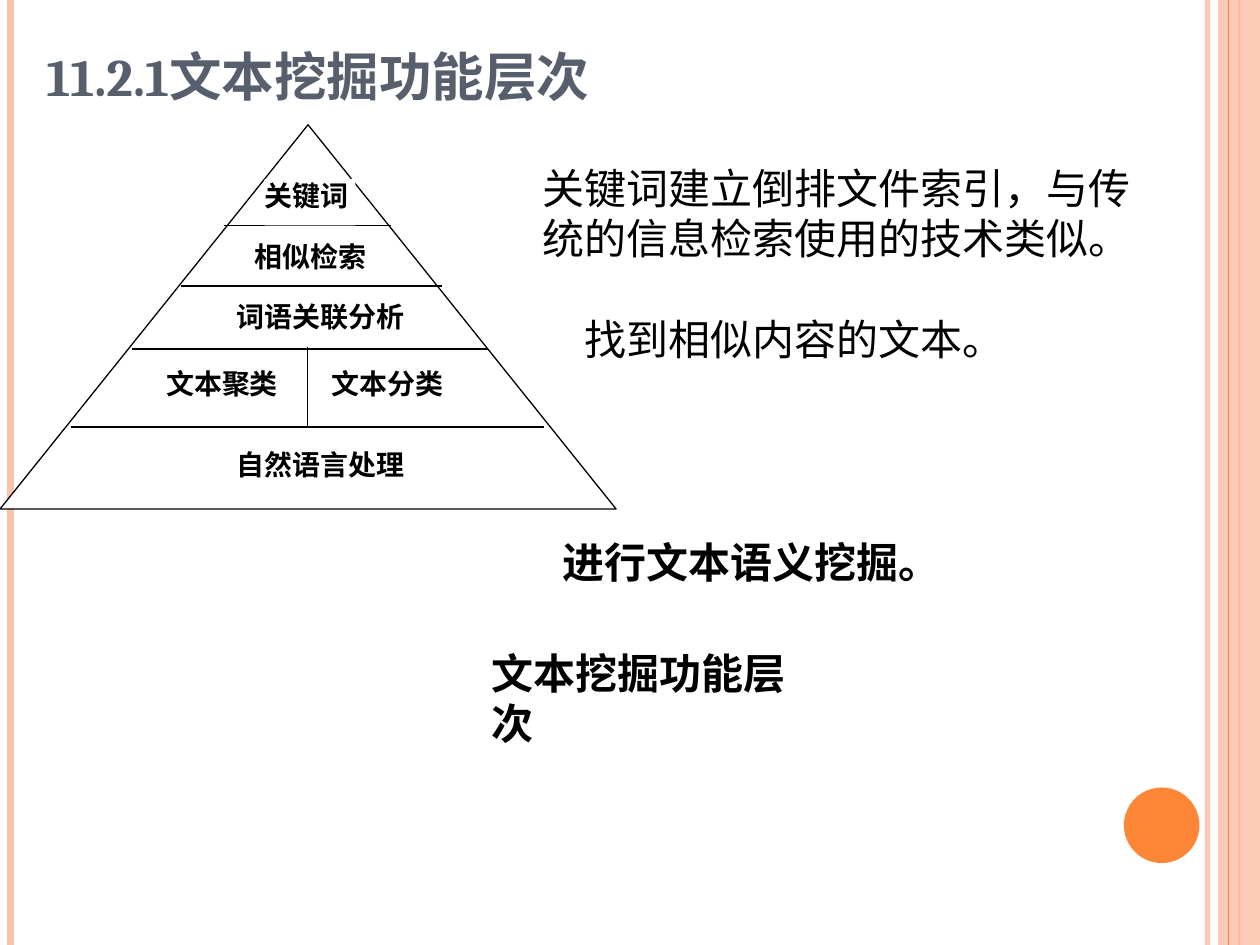
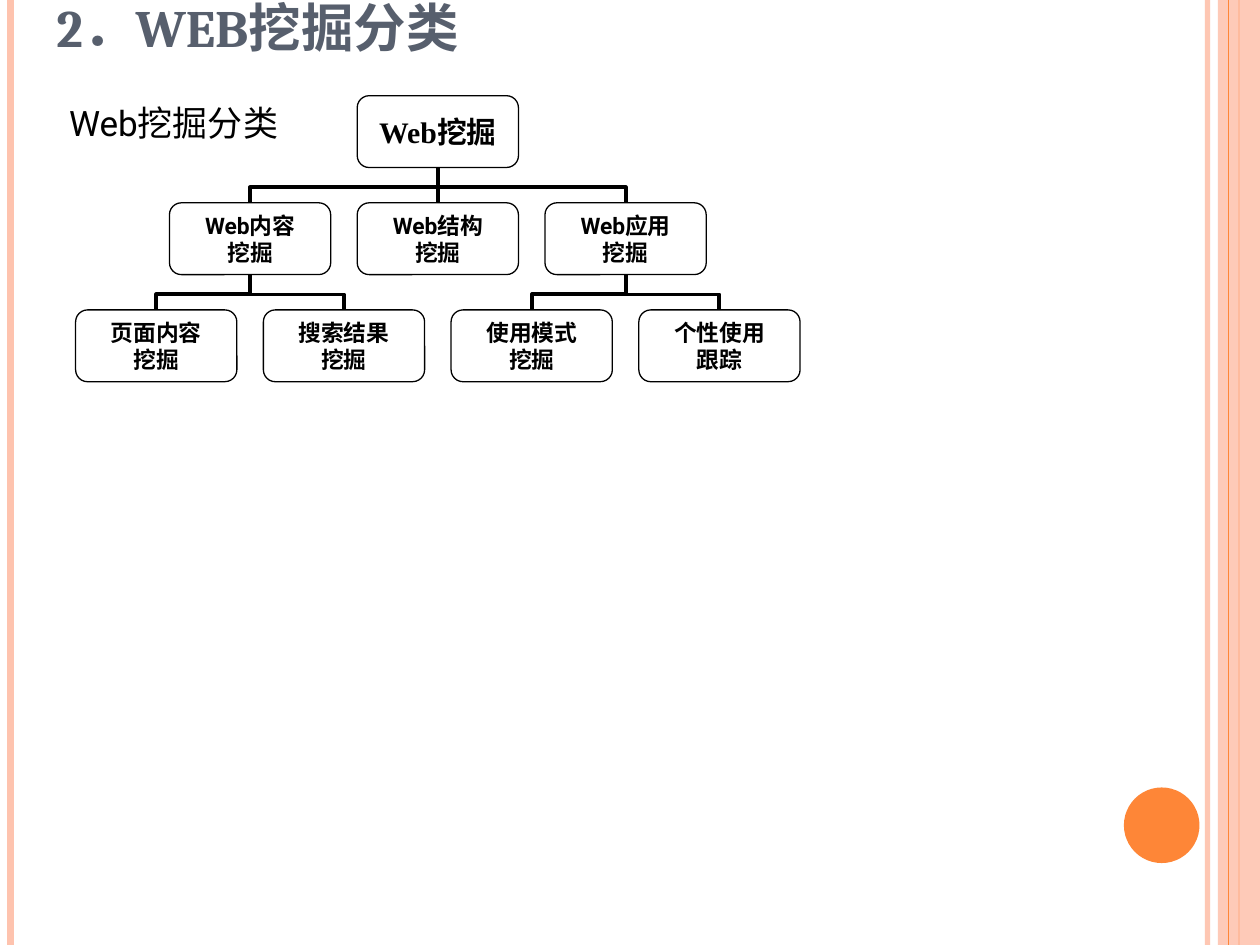
from lxml import etree
from pptx import Presentation
from pptx.dml.color import RGBColor
from pptx.enum.shapes import MSO_CONNECTOR, MSO_SHAPE
from pptx.enum.text import MSO_ANCHOR, MSO_AUTO_SIZE, PP_ALIGN
from pptx.oxml.ns import qn
from pptx.util import Pt

STRAIGHT, ELBOW = MSO_CONNECTOR.STRAIGHT, MSO_CONNECTOR.ELBOW
RECTANGLE, ROUNDED = MSO_SHAPE.RECTANGLE, MSO_SHAPE.ROUNDED_RECTANGLE
OVAL, TRIANGLE = MSO_SHAPE.OVAL, MSO_SHAPE.FLOWCHART_EXTRACT
TOP, MIDDLE, BOTTOM = MSO_ANCHOR.TOP, MSO_ANCHOR.MIDDLE, MSO_ANCHOR.BOTTOM
LEFT, CENTER = PP_ALIGN.LEFT, PP_ALIGN.CENTER

WIDTH, HEIGHT = 720, 540
COLORS = {"paper": "FFFFFF", "ink": "000000", "title": "575F6D",
          "peach": "FEC3AE", "orange": "FE8637"}
HEADING, BODY, SERIF = "Cambria", "Roboto", "Times New Roman"

# Slide 1: pyramid levels and remarks
LEVELS_TITLE = ("11.2.1文本挖掘功能层次", 19.44, -25.2)
PYRAMID = (0, 71.28, 352.08, 219.6)
DIVIDERS = [  # x1, y1, x2, y2
    (128.16, 128.88, 223.2, 128.88),
    (103.68, 163.44, 252.72, 163.44),
    (40.32, 244.08, 311.04, 244.08),
    (75.6, 199.44, 278.64, 199.44),
    (175.68, 198, 175.68, 244.08),
]
LEVEL_LABELS = [  # text, box
    ("关键词", (151.2, 102.24, 51.84, 26.64)),
    ("相似检索", (145.44, 136.8, 81.36, 19.44)),
    ("词语关联分析", (135.36, 171.36, 102.96, 26.64)),
    ("自然语言处理", (135.36, 255.6, 114.48, 26.64)),
    ("文本聚类", (95.04, 209.52, 67.68, 26.64)),
    ("文本分类", (189.36, 209.52, 67.68, 26.64)),
]
REMARKS = [  # text, box, bold, wrap
    ("文本挖掘功能层次", (273.6, 366.48, 205.92, 36), True, False),
    ("关键词建立倒排文件索引，与传统的信息检索使用的技术类似。",
     (303.12, 89.28, 360, 64.8), False, True),
    ("找到相似内容的文本。", (326.88, 175.68, 254.16, 36), False, False),
    ("进行文本语义挖掘。", (314.64, 303.12, 360, 36), True, True),
]

# Slide 2: tree, where a slot counts leaf columns from the left
TREE_TITLE = ("2．WEB挖掘分类", 25.2, -53.28)
TREE_CAPTION = ("Web挖掘分类", (32.4, 54.72, 141.12, 31.68))
TREE = {  # name: (level, slot, parent, paragraphs of (text, font) runs)
    "root": (0, 1.5, None, [[("Web挖掘", SERIF)]]),
    "content": (1, 0.5, "root", [[("Web", BODY), ("内容", SERIF)], [("挖掘", SERIF)]]),
    "structure": (1, 1.5, "root", [[("Web", BODY), ("结构", SERIF)], [("挖掘", SERIF)]]),
    "usage": (1, 2.5, "root", [[("Web", BODY), ("应用", SERIF)], [("挖掘", SERIF)]]),
    "pages": (2, 0, "content", [[("页面内容", SERIF)], [("挖掘", SERIF)]]),
    "results": (2, 1, "content", [[("搜索结果", SERIF)], [("挖掘", SERIF)]]),
    "patterns": (2, 2, "usage", [[("使用模式", SERIF)], [("挖掘", SERIF)]]),
    "tracking": (2, 3, "usage", [[("个性使用", SERIF)], [("跟踪", SERIF)]]),
}
NODE_WIDTH, NODE_HEIGHT = 92.16, 41.04
FIRST_CENTER, COLUMN_STEP = 89.28, 107.28
FIRST_TOP, LEVEL_STEP = 54.72, 61.2
ELBOW_BEND = 56000  # share of the drop above the bend, in 1/100000


def points(values):
    return [Pt(value) for value in values]


def color(name):
    return RGBColor.from_string(COLORS[name])


def set_opacity(element, percent):
    fill_color = next(element.iter(qn("a:srgbClr")))
    etree.SubElement(fill_color, qn("a:alpha"), val=str(percent * 1000))


def add_line(slide, ends, name="ink", weight=0.75, kind=STRAIGHT):
    line = slide.shapes.add_connector(kind, *points(ends))
    line.line.color.rgb = color(name)
    line.line.width = Pt(weight)
    etree.SubElement(line._element.spPr, qn("a:effectLst"))
    return line


def add_figure(slide, kind, box, fill=None, outlined=False):
    shape = slide.shapes.add_shape(kind, *points(box))
    shape.shadow.inherit = False
    if fill:
        shape.fill.solid()
        shape.fill.fore_color.rgb = color(fill)
    else:
        shape.fill.background()
    if outlined:
        shape.line.color.rgb = color("ink")
        shape.line.width = Pt(0.75)
    else:
        shape.line.fill.background()
    return shape


def write(shape, paragraphs, size, bold=False, name="ink", align=LEFT,
          anchor=TOP, insets=(7.2, 3.6), wrap=True):
    frame = shape.text_frame
    frame.word_wrap = wrap
    frame.vertical_anchor = anchor
    frame.margin_left = frame.margin_right = Pt(insets[0])
    frame.margin_top = frame.margin_bottom = Pt(insets[1])
    for index, runs in enumerate(paragraphs):
        paragraph = frame.add_paragraph() if index else frame.paragraphs[0]
        paragraph.alignment = align
        for text, font in runs:
            run = paragraph.add_run()
            run.text = text
            run.font.name = font
            run.font.size = Pt(size)
            run.font.bold = bold
            run.font.color.rgb = color(name)


def add_text(slide, text, box, size, font=BODY, **style):
    shape = slide.shapes.add_textbox(*points(box))
    write(shape, [[(text, font)]], size, **style)
    return shape


def add_note(slide, text, box, size, **style):
    shape = add_text(slide, text, box, size, **style)
    shape.text_frame.auto_size = MSO_AUTO_SIZE.SHAPE_TO_FIT_TEXT


def start_slide(presentation, title, left, top):
    """Add a slide with the side bands, the orange dot and a title."""
    slide = presentation.slides.add_slide(presentation.slide_layouts[6])

    def add_rule(x, name, weight):
        return add_line(slide, (x, 0, x, HEIGHT), name, weight)

    set_opacity(add_rule(690, "peach", 3)._element, 93)
    add_rule(6, "peach", 4.5)
    add_rule(708, "orange", 1.5)
    band = add_figure(slide, RECTANGLE, (696, 0, 24, HEIGHT), "peach")
    set_opacity(band._element, 87)
    add_rule(702, "orange", 0.75)
    add_figure(slide, OVAL, (642.24, 450, 43.2, 43.2), "orange")
    add_text(slide, title, (left, top, 588.24, 90), 30, HEADING,
             bold=True, name="title", anchor=BOTTOM)
    return slide


def add_branch(slide, parent, child):
    """Link the bottom of a parent to the top of a child."""
    (x1, y1), (x2, y2) = parent, child
    if x1 == x2:
        add_line(slide, (x1, y1, x2, y2), weight=2.25)
        return
    # The elbow is laid out sideways about its middle, then turned a quarter
    middle_x, middle_y = (x1 + x2) / 2, (y1 + y2) / 2
    half_run, half_drop = (x2 - x1) / 2, (y2 - y1) / 2
    elbow = add_line(slide, (middle_x - half_drop, middle_y + half_run,
                             middle_x + half_drop, middle_y - half_run),
                     weight=2.25, kind=ELBOW)
    properties = elbow._element.spPr
    properties.find(qn("a:xfrm")).set("rot", "5400000")
    adjustments = next(properties.iter(qn("a:avLst")))
    etree.SubElement(adjustments, qn("a:gd"), name="adj1", fmla=f"val {ELBOW_BEND}")


def build_levels(presentation):
    slide = start_slide(presentation, *LEVELS_TITLE)
    add_figure(slide, TRIANGLE, PYRAMID, "paper", outlined=True)
    for ends in DIVIDERS:
        add_line(slide, ends)
    for text, box in LEVEL_LABELS:
        label = add_figure(slide, RECTANGLE, box, "paper")
        write(label, [[(text, SERIF)]], 16, bold=True, insets=(0, 0))
    for text, box, bold, wrap in REMARKS:
        add_note(slide, text, box, 24, bold=bold, wrap=wrap)


def build_tree(presentation):
    slide = start_slide(presentation, *TREE_TITLE)
    tops = {name: (FIRST_CENTER + slot * COLUMN_STEP, FIRST_TOP + level * LEVEL_STEP)
            for name, (level, slot, _, _) in TREE.items()}
    # Branches lie behind the nodes
    for name, (_, _, parent, _) in TREE.items():
        if parent:
            x, y = tops[parent]
            add_branch(slide, (x, y + NODE_HEIGHT), tops[name])
    for name, (level, _, _, paragraphs) in TREE.items():
        x, y = tops[name]
        node = add_figure(slide, ROUNDED, (x - NODE_WIDTH / 2, y, NODE_WIDTH, NODE_HEIGHT),
                          outlined=True)
        write(node, paragraphs, 13 if level else 17, bold=True, align=CENTER,
              anchor=MIDDLE, insets=(5.76, 2.88))
    add_note(slide, *TREE_CAPTION, 20, wrap=False)


def main():
    presentation = Presentation()
    presentation.slide_width, presentation.slide_height = Pt(WIDTH), Pt(HEIGHT)
    build_levels(presentation)
    build_tree(presentation)
    presentation.save("out.pptx")


if __name__ == "__main__":
    main()
